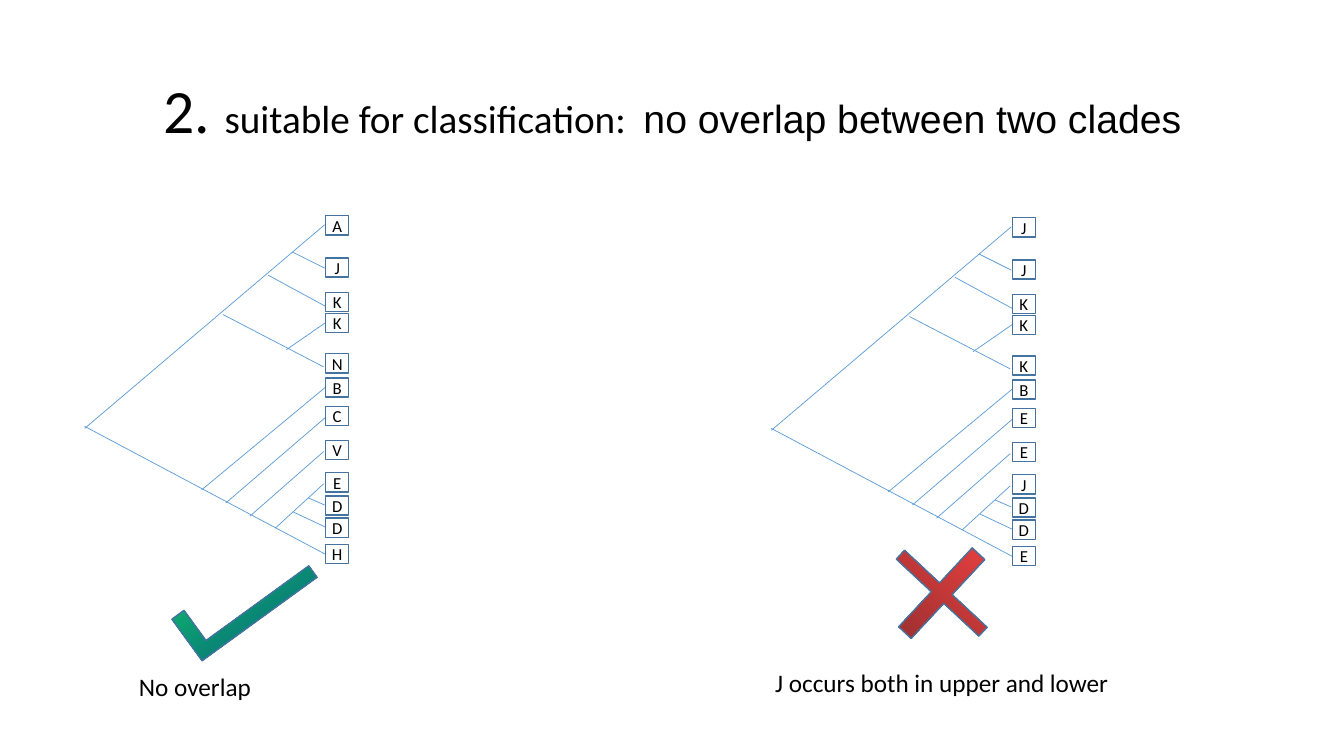
from pptx import Presentation
from pptx.dml.color import RGBColor
from pptx.enum.shapes import MSO_CONNECTOR as Connector, MSO_SHAPE as Shape
from pptx.enum.text import MSO_ANCHOR as Anchor, PP_ALIGN as Align
from pptx.oxml.ns import qn
from pptx.util import Inches, Pt
from lxml import etree

# Content
TITLE = [("2. ", 44, "Calibri"),
         ("suitable for classification:  ", 28, "Calibri"),
         ("no overlap between two clades", 28, "Arial")]

# Each tree: shift right, shift down, leaf letters from top to bottom
TREES = [(0, 0, "AJKKNBCVEDDH"), (6.81, 0.02, "JJKKKBEEJDDE")]

# Branches of the first tree: x1, y1, x2, y2
BRANCHES = [
    (0.84, 4.23, 3.23, 5.5), (2, 4.86, 3.23, 3.84), (0.84, 4.25, 3.22, 2.23),
    (2.9, 2.5, 3.22, 2.66), (2.66, 2.73, 3.23, 3.04), (2.21, 3.12, 3.21, 3.64),
    (2.24, 4.99, 3.23, 4.14), (2.48, 5.12, 3.21, 4.48), (2.73, 5.24, 3.21, 4.8),
    (2.91, 5.08, 3.23, 5.23), (3.06, 4.94, 3.22, 5.01), (2.84, 3.47, 3.23, 3.2),
]
LEAF_LEFT, LEAF_WIDTH, LEAF_HEIGHT = 3.23, 0.23, 0.19
LEAF_TOPS = [2.14, 2.56, 2.9, 3.11, 3.51, 3.75, 4.03, 4.37, 4.69, 4.92, 5.14, 5.4]

# Marks: preset, box, rotation, adjustments, gradient colours
MARKS = [
    (Shape.CORNER, (1.72, 5.68, 1.41, 0.51), 324, (0.274, 0.293), ("14CD68", "035C7D")),
    (Shape.CROSS, (8.78, 5.35, 1.12, 1.07), 43, (0.444,), ("FE4444", "832B2B")),
]
CAPTIONS = [("No overlap", (1.28, 6.61, 1.37, 0.4)),
            ("J occurs both in upper and lower", (7.59, 6.57, 3.56, 0.4))]
BRANCH_COLOR, OUTLINE, BLACK, WHITE = "5B9BD5", "43739E", "000000", "FFFFFF"


def color(hex_string):
    return RGBColor.from_string(hex_string)


def set_font(font, size, name="Calibri"):
    font.size, font.name = Pt(size), name
    font.color.rgb = color(BLACK)


def set_line(line, hex_string, width):
    line.color.rgb = color(hex_string)
    line.width = Pt(width)


def add_outlined(preset, box):
    shape = slide.shapes.add_shape(preset, *map(Inches, box))
    shape.shadow.inherit = False
    set_line(shape.line, OUTLINE, 1)
    return shape


def add_branch(x1, y1, x2, y2):
    connector = slide.shapes.add_connector(Connector.STRAIGHT, *map(Inches, (x1, y1, x2, y2)))
    set_line(connector.line, BRANCH_COLOR, 0.5)
    etree.SubElement(connector._element.spPr, qn("a:effectLst"))


def add_leaf(letter, left, top):
    shape = add_outlined(Shape.RECTANGLE, (left, top, LEAF_WIDTH, LEAF_HEIGHT))
    shape.fill.solid()
    shape.fill.fore_color.rgb = color(WHITE)
    frame = shape.text_frame
    frame.margin_left = frame.margin_right = frame.margin_top = frame.margin_bottom = 0
    frame.vertical_anchor = Anchor.MIDDLE
    paragraph = frame.paragraphs[0]
    paragraph.text, paragraph.alignment = letter, Align.CENTER
    set_font(paragraph.font, 12)


def add_text_frame(box):
    frame = slide.shapes.add_textbox(*map(Inches, box)).text_frame
    frame.word_wrap = True
    return frame


presentation = Presentation()
presentation.slide_width, presentation.slide_height = Inches(13.33), Inches(7.5)
slide = presentation.slides.add_slide(presentation.slide_layouts[6])

# Title
title_frame = add_text_frame((0.92, 0.4, 11.5, 1.45))
title_frame.vertical_anchor = Anchor.MIDDLE
title = title_frame.paragraphs[0]
title.alignment, title.line_spacing = Align.CENTER, 0.9
for text, size, name in TITLE:
    run = title.add_run()
    run.text = text
    set_font(run.font, size, name)

# Trees
for right, down, letters in TREES:
    for x1, y1, x2, y2 in BRANCHES:
        add_branch(x1 + right, y1 + down, x2 + right, y2 + down)
    for letter, top in zip(letters, LEAF_TOPS):
        add_leaf(letter, LEAF_LEFT + right, top + down)

# Check mark and cross
for preset, box, rotation, adjustments, gradient in MARKS:
    mark = add_outlined(preset, box)
    mark.rotation = rotation
    for index, value in enumerate(adjustments):
        mark.adjustments[index] = value
    mark.fill.gradient()
    mark.fill.gradient_angle = 270
    for stop, hex_string in zip(mark.fill.gradient_stops, gradient):
        stop.color.rgb = color(hex_string)

# Captions
for text, box in CAPTIONS:
    caption = add_text_frame(box).paragraphs[0]
    caption.text = text
    set_font(caption.font, 18)

presentation.save("out.pptx")
